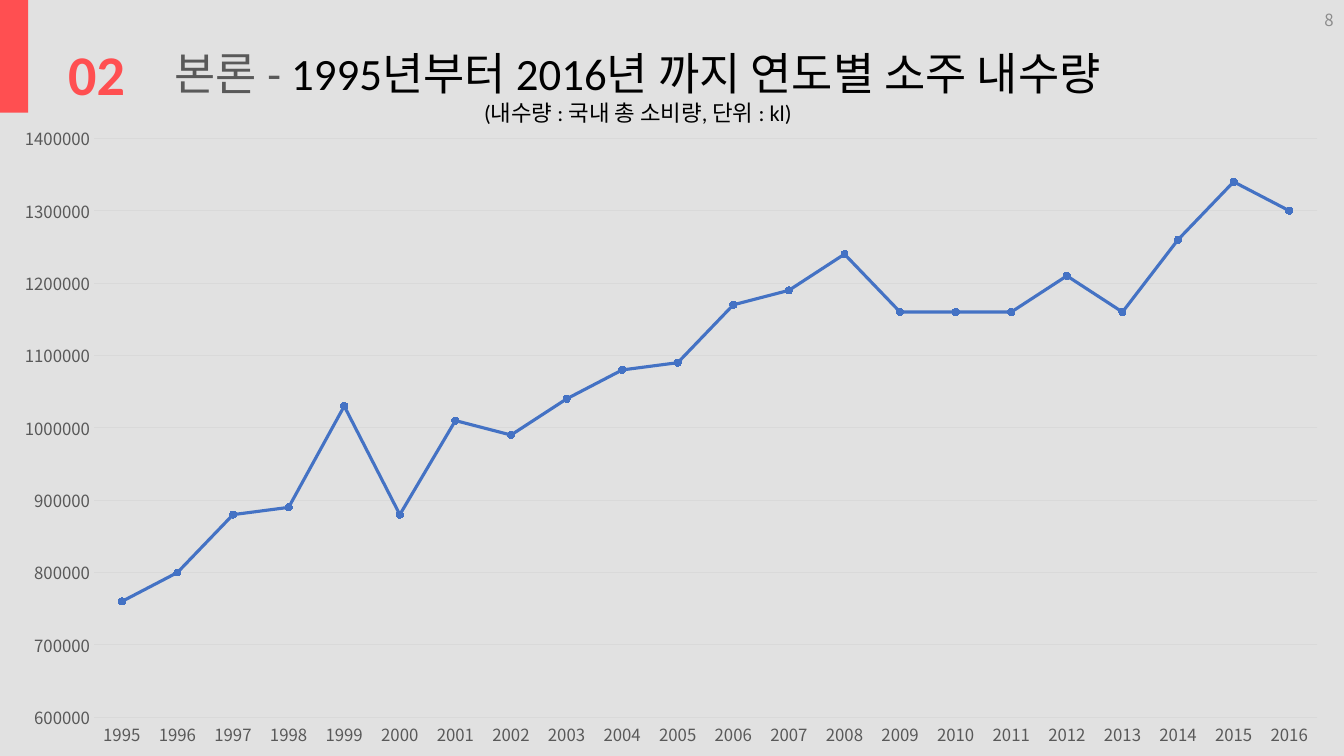
from lxml import etree
from pptx import Presentation
from pptx import util as u
from pptx.chart.data import CategoryChartData
from pptx.dml.color import RGBColor
from pptx.enum import chart as ch, shapes, text
from pptx.oxml import ns

HUES = {"back": "E1E1E1", "red": "FF4F51", "gray": "595959", "black": "000000",
        "pale": "8C8C8C", "grid": "D9D9D9", "blue": "4472C4"}
LATIN = "Calibri"
HANGUL = "Noto Sans CJK KR"
YEARS = range(1995, 2017)
# Thousands of kilolitres, one per year
SALES = [760, 800, 880, 890, 1030, 880, 1010, 990, 1040, 1080, 1090,
         1170, 1190, 1240, 1160, 1160, 1160, 1210, 1160, 1260, 1340, 1300]


def hue(name):
    return RGBColor.from_string(HUES[name])


def paint(fill, name):
    fill.solid()
    fill.fore_color.rgb = hue(name)


def set_font(font, size, color, face=HANGUL, bold=False):
    font.size = u.Pt(size)
    font.name = face
    font.bold = bold
    font.color.rgb = hue(color)


def add_text(slide, box, runs, align=text.PP_ALIGN.LEFT,
             anchor=text.MSO_ANCHOR.TOP, **fmt):
    """Write runs of (words, format changes) as one paragraph."""
    frame = slide.shapes.add_textbox(*map(u.Cm, box)).text_frame
    frame.word_wrap = True
    frame.vertical_anchor = anchor
    para = frame.paragraphs[0]
    para.alignment = align
    for words, more in runs:
        run = para.add_run()
        run.text = words
        set_font(run.font, **{**fmt, **more})
        # Hangul takes the East Asian face
        latin = run.font._element.find(ns.qn("a:latin"))
        east = etree.Element(ns.qn("a:ea"), typeface=HANGUL)
        latin.addnext(east)


def add_bar(slide, box, color):
    bar = slide.shapes.add_shape(shapes.MSO_SHAPE.RECTANGLE, *map(u.Cm, box))
    bar.shadow.inherit = False
    paint(bar.fill, color)
    bar.line.fill.background()


def set_line(line, color, width):
    paint(line.fill, color)
    line.width = u.Pt(width)


def set_plot(chart, **place):
    """Fix the inner plot area as fractions of the chart."""
    area = chart._chartSpace.chart.plotArea
    for old in area.findall(ns.qn("c:layout")):
        area.remove(old)
    layout = etree.Element(ns.qn("c:layout"))
    manual = etree.SubElement(layout, ns.qn("c:manualLayout"))
    parts = [("layoutTarget", "inner"), ("xMode", "edge"), ("yMode", "edge")]
    for tag, val in parts + list(place.items()):
        etree.SubElement(manual, ns.qn("c:" + tag), val=str(val))
    area.insert(0, layout)


def add_graph(slide, box):
    data = CategoryChartData()
    data.categories = [str(year) for year in YEARS]
    data.add_series("Series 1", [sale * 1000 for sale in SALES])
    chart = slide.shapes.add_chart(
        ch.XL_CHART_TYPE.LINE_MARKERS, *map(u.Cm, box), data).chart
    chart.has_title = chart.has_legend = False
    set_font(chart.font, 10, "black")
    set_plot(chart, x=0.07, y=0.04, w=0.91, h=0.9)

    # Axes
    years, sales = chart.category_axis, chart.value_axis
    for axis in (years, sales):
        axis.major_tick_mark = axis.minor_tick_mark = ch.XL_TICK_MARK.NONE
        set_font(axis.tick_labels.font, 12, "gray")
    set_line(years.format.line, "grid", 0.75)
    sales.format.line.fill.background()
    sales.minimum_scale, sales.maximum_scale = 600000, 1400000
    sales.major_unit = 100000
    sales.tick_labels.number_format = "0"
    sales.tick_labels.number_format_is_linked = False
    set_line(sales.major_gridlines.format.line, "grid", 0.75)

    # Series
    chart.plots[0].vary_by_categories = False
    line = chart.plots[0].series[0]
    line.smooth = False
    set_line(line.format.line, "blue", 2.25)
    line.marker.style = ch.XL_MARKER_STYLE.CIRCLE
    line.marker.size = 5
    paint(line.marker.format.fill, "blue")
    set_line(line.marker.format.line, "blue", 0.75)


def main():
    deck = Presentation()
    deck.slide_width, deck.slide_height = u.Cm(33.87), u.Cm(19.05)
    slide = deck.slides.add_slide(deck.slide_layouts[6])
    paint(slide.background.fill, "back")

    # Heading
    add_text(slide, (3.4, 1.02, 25.35, 4.37), [
        ("본론 - ", {"color": "gray"}),
        ("1995년부터 2016년 까지 연도별 소주 내수량 ", {}),
        ("(내수량 : 국내 총 소비량, 단위 : kl)", {"size": 16}),
    ], align=text.PP_ALIGN.CENTER, size=32, color="black", face=LATIN)
    add_bar(slide, (0, 0, 0.71, 2.84), "red")
    add_text(slide, (1.47, 0.86, 2.62, 1.96), [("02", {})],
             size=40, color="red", face=LATIN, bold=True)

    # Yearly sales
    add_graph(slide, (0, 2.84, 33.87, 16.21))

    # Page number
    add_text(slide, (26.24, 0, 7.62, 1.02), [("8", {})],
             align=text.PP_ALIGN.RIGHT, anchor=text.MSO_ANCHOR.MIDDLE,
             size=12, color="pale")
    deck.save("out.pptx")


if __name__ == "__main__":
    main()
